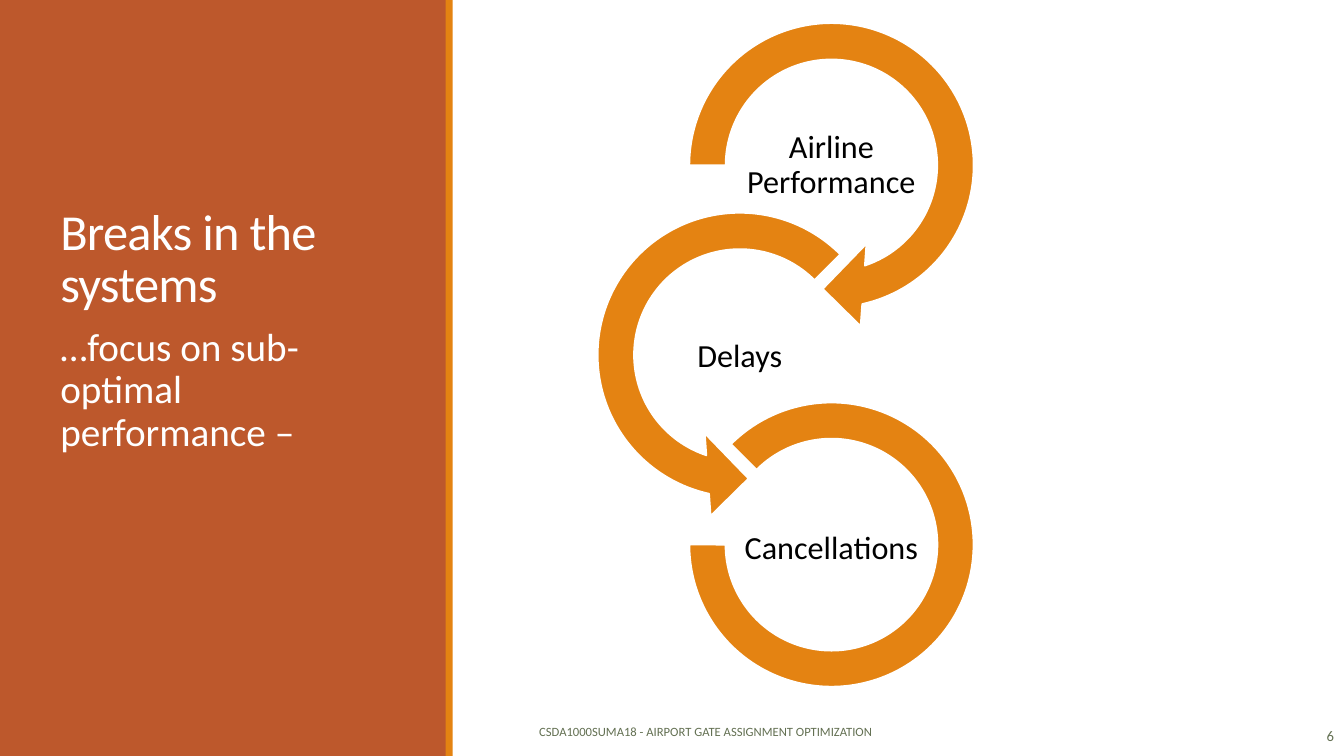
from pptx import Presentation
from pptx.dml.color import RGBColor
from pptx.enum.shapes import MSO_SHAPE as Preset
from pptx.enum.text import MSO_ANCHOR as Anchor, PP_ALIGN as Align
from pptx.util import Cm, Pt

COLORS = {
    "panel": "BD582C",
    "accent": "E48312",
    "white": "FFFFFF",
    "label": "000000",
    "footer": "637052",
}
SLIDE_WIDTH, SLIDE_HEIGHT = 33.87, 19.05
INSETS = (0.25, 0.13)


def color(name):
    return RGBColor.from_string(COLORS[name])


def add_block(slide, preset, box, fill, outline=None):
    block = slide.shapes.add_shape(preset, *map(Cm, box))
    block.shadow.inherit = False
    block.fill.solid()
    block.fill.fore_color.rgb = color(fill)
    if outline:
        block.line.color.rgb = color(outline)
        block.line.width = Pt(1.25)
    else:
        block.line.fill.background()
    return block


def add_text(slide, box, wording, size, tint, anchor=Anchor.MIDDLE,
             align=Align.LEFT, spacing=1.0, insets=INSETS):
    frame = slide.shapes.add_textbox(*map(Cm, box)).text_frame
    side, edge = map(Cm, insets)
    frame_format = {
        "word_wrap": True, "vertical_anchor": anchor,
        "margin_left": side, "margin_right": side,
        "margin_top": edge, "margin_bottom": edge,
    }
    paragraph = frame.paragraphs[0]
    run = paragraph.add_run()
    run.text = wording
    formats = (
        (frame, frame_format),
        (paragraph, {"alignment": align, "line_spacing": spacing}),
        (run.font, {"name": "Calibri", "size": Pt(size)}),
    )
    for target, values in formats:
        for attribute, value in values.items():
            setattr(target, attribute, value)
    run.font.color.rgb = color(tint)
    return run


def add_title_panel(slide, left, top, width, height):
    # Coloured panel with a stripe along its right edge
    add_block(slide, Preset.RECTANGLE, (left, top, width, height), "panel")
    add_block(slide, Preset.RECTANGLE,
              (left + width - 0.02, top, 0.18, height), "accent")

    # Title and subtitle
    text_left, text_width = left + 1.27, 8.89
    title = add_text(slide, (text_left, top + 1.65, text_width, 6.35),
                     "Breaks in the systems", 36, "white",
                     anchor=Anchor.BOTTOM, spacing=0.85)
    title._r.get_or_add_rPr().set("spc", "-50")
    add_text(slide, (text_left, top + 8.13, text_width, 9.4),
             "…focus on sub-optimal performance –", 28, "white",
             anchor=Anchor.TOP, spacing=0.9)


def add_break_chain(slide, left, top, width, height):
    arrow_size, arc_size = 8.33, 7.16
    label_width, label_height = 4.62, 2.31
    ring_pitch, label_pitch = 4.78, 4.83
    right_center = left + width - arrow_size / 2
    left_center = left + arrow_size / 2
    first_center = top + arrow_size / 2

    # Each break: wording, outline, size, centre, adjustments
    breaks = (
        ("Airline Performance", Preset.CIRCULAR_ARROW, arrow_size,
         right_center, (0.11, 11.423, 45, 108, 0.125)),
        ("Delays", Preset.LEFT_CIRCULAR_ARROW, arrow_size,
         left_center, (0.11, 11.423, 63, 189, 0.125)),
        ("Cancellations", Preset.BLOCK_ARC, arc_size,
         right_center, (135, 108, 0.127)),
    )
    for row, (wording, preset, size, center, settings) in enumerate(breaks):
        ring_top = first_center + row * ring_pitch - size / 2
        ring = add_block(slide, preset,
                         (center - size / 2, ring_top, size, size),
                         "accent", outline="white")
        for index, setting in enumerate(settings):
            ring.adjustments[index] = setting

        label_top = first_center + row * label_pitch - label_height / 2
        add_text(slide, (center - label_width / 2, label_top,
                         label_width, label_height),
                 wording, 23, "label", align=Align.CENTER,
                 spacing=0.9, insets=(0.05, 0.05))


def add_footer(slide, left, top, width, height):
    number_width = 3.63
    add_text(slide, (left, top, 12.9, height),
             "CSDA1000SUMA18 - AIRPORT GATE ASSIGNMENT OPTIMIZATION",
             9, "footer")
    add_text(slide, (left + width - number_width, top + 0.1,
                     number_width, height),
             "6", 10.5, "footer", align=Align.RIGHT)


def main():
    deck = Presentation()
    deck.slide_width, deck.slide_height = Cm(SLIDE_WIDTH), Cm(SLIDE_HEIGHT)
    slide = deck.slides.add_slide(deck.slide_layouts[6])
    add_title_panel(slide, 0, 0, 11.25, SLIDE_HEIGHT)
    add_break_chain(slide, 14.48, 0, 10.64, 17.3)
    add_footer(slide, 13.34, 17.93, SLIDE_WIDTH - 13.34, 1.02)
    deck.save("out.pptx")


if __name__ == "__main__":
    main()
